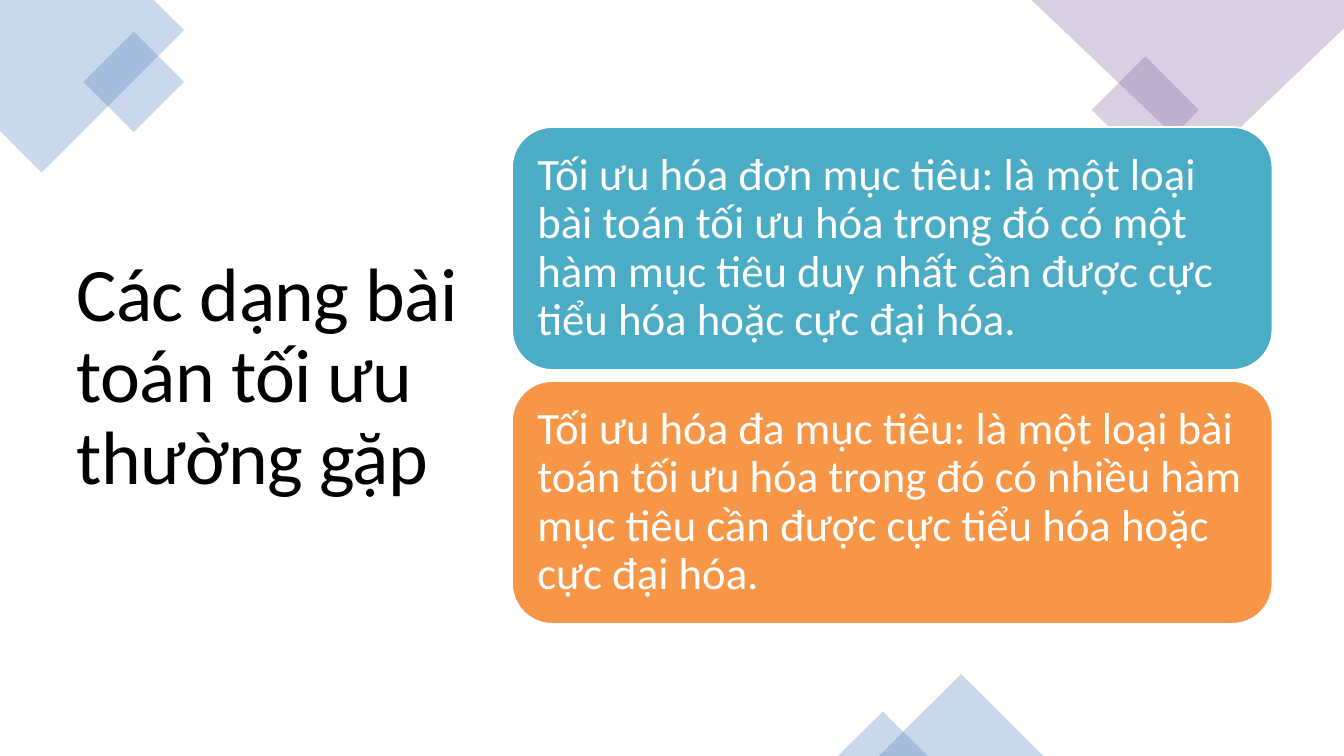
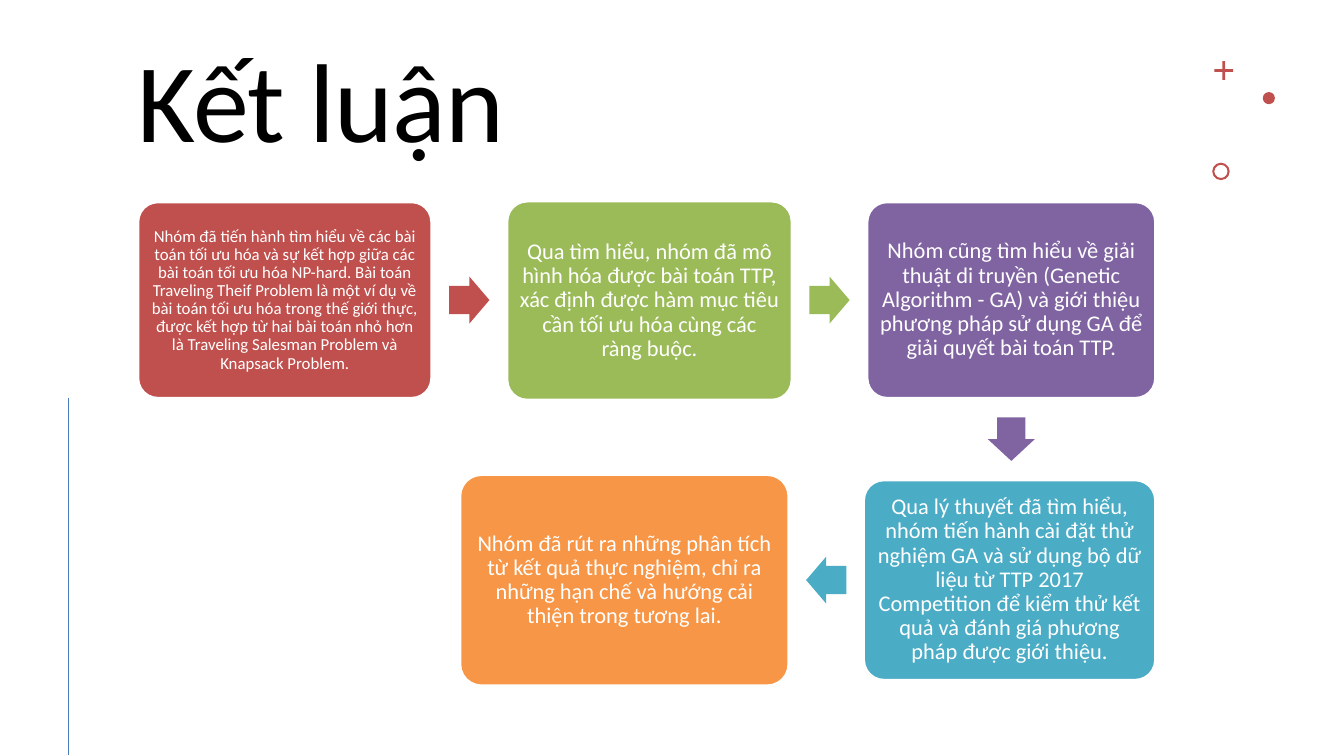
import pptx
import pptx.dml.color
import pptx.enum.shapes
import pptx.enum.text
import pptx.oxml.ns
import pptx.util
import lxml.etree

Cm = pptx.util.Cm
Pt = pptx.util.Pt
KIND = pptx.enum.shapes.MSO_SHAPE
ALIGN = pptx.enum.text.PP_ALIGN
ANCHOR = pptx.enum.text.MSO_ANCHOR

FONT = "Calibri"
BLACK, WHITE = "000000", "FFFFFF"
BLUE, RULE_BLUE, RED = "4F81BD", "4A7EBB", "C0504D"
GREEN, PURPLE, TEAL, ORANGE = "9BBB59", "8064A2", "4BACC6", "F79646"
SLIDE_SIZE = (50.8, 28.58)

PROBLEM_TITLE = ("Các dạng bài toán tối ưu thường gặp", (2.64, 2.67, 14.91, 23.27), 81, ANCHOR.MIDDLE)
PROBLEM_TYPES = [
    ("Tối ưu hóa đơn mục tiêu: là một loại bài toán tối ưu hóa trong đó có một hàm mục tiêu "
     "duy nhất cần được cực tiểu hóa hoặc cực đại hóa.", TEAL),
    ("Tối ưu hóa đa mục tiêu: là một loại bài toán tối ưu hóa trong đó có nhiều hàm mục tiêu "
     "cần được cực tiểu hóa hoặc cực đại hóa.", ORANGE),
]
TYPE_BOX = (19.35, 4.8, 28.75, 9.19)
TYPE_GAP = 0.41

CORNERS = [
    ([(0, 0), (5.82, 0), (6.96, 1.14), (1.57, 6.53), (0, 4.95)], BLUE),
    ([(38.99, 0), (50.8, 0), (50.8, 1.07), (45.47, 6.17)], PURPLE),
]
DIAMONDS = [((3.71, 1.75, 2.69, 2.69), BLUE), ((41.86, 2.72, 2.87, 2.87), PURPLE)]
PEAKS = [(33.22, 25.48, 6.22, 3.1), (31.67, 26.9, 3.4, 1.68)]

CONCLUSION_TITLE = ("Kết luận", (4.95, 1.6, 38.99, 5), 120, ANCHOR.TOP)
STEPS = [
    ("Nhóm đã tiến hành tìm hiểu về các bài toán tối ưu hóa và sự kết hợp giữa các bài toán "
     "tối ưu hóa NP-hard. Bài toán Traveling Theif Problem là một ví dụ về bài toán tối ưu hóa "
     "trong thế giới thực, được kết hợp từ hai bài toán nhỏ hơn là Traveling Salesman Problem "
     "và Knapsack Problem.", RED, (5.23, 7.65, 11.07, 7.39), 18, 0.18),
    ("Qua tìm hiểu, nhóm đã mô hình hóa được bài toán TTP, xác định được hàm mục tiêu cần "
     "tối ưu hóa cùng các ràng buộc.", GREEN, (19.18, 7.62, 10.74, 7.49), 24, 0.25),
    ("Nhóm cũng tìm hiểu về giải thuật di truyền (Genetic Algorithm - GA) và giới thiệu "
     "phương pháp sử dụng GA để giải quyết bài toán TTP.", PURPLE, (32.79, 7.65, 10.87, 7.39), 24, 0.25),
    ("Qua lý thuyết đã tìm hiểu, nhóm tiến hành cài đặt thử nghiệm GA và sử dụng bộ dữ liệu "
     "từ TTP 2017 Competition để kiểm thử kết quả và đánh giá phương pháp được giới thiệu.",
     TEAL, (32.66, 18.16, 11, 7.54), 24, 0.25),
    ("Nhóm đã rút ra những phân tích từ kết quả thực nghiệm, chỉ ra những hạn chế và hướng "
     "cải thiện trong tương lai.", ORANGE, (17.4, 17.96, 12.4, 7.95), 24, 0.25),
]
ARROWS = [(0, 1.52), (0, 1.52), (90, 1.65), (180, 1.52)]
ARROW_WIDTH = 1.78
ORNAMENTS = [
    (KIND.CROSS, (45.9, 2.31, 0.71, 0.71), [0.43]),
    (KIND.OVAL, (47.73, 3.48, 0.46, 0.46), []),
    (KIND.DONUT, (45.82, 6.15, 0.66, 0.66), [0.12]),
]
SIDE_RULE = (2.59, 15.04, 2.59, 28.55)


def rgb(color):
    return pptx.dml.color.RGBColor.from_string(color)


def lengths(numbers):
    return [Cm(number) for number in numbers]


def paint(shape, color, alpha=None, outlined=False):
    shape.shadow.inherit = False
    shape.fill.solid()
    shape.fill.fore_color.rgb = rgb(color)
    if alpha:
        tint = shape.fill._xPr.find(".//" + pptx.oxml.ns.qn("a:srgbClr"))
        lxml.etree.SubElement(tint, pptx.oxml.ns.qn("a:alpha"), val=str(alpha * 1000))
    if outlined:
        shape.line.color.rgb = rgb(WHITE)
        shape.line.width = Pt(2)
    else:
        shape.line.fill.background()


def add_preset(slide, kind, box, color, adjustments=(), **style):
    shape = slide.shapes.add_shape(kind, *lengths(box))
    for index, value in enumerate(adjustments):
        shape.adjustments[index] = value
    paint(shape, color, **style)
    return shape


def write(shape, words, size, color, align, anchor):
    frame = shape.text_frame
    frame.word_wrap = True
    frame.vertical_anchor = anchor
    frame.text = words
    paragraph = frame.paragraphs[0]
    paragraph.alignment = align
    paragraph.line_spacing = 0.9
    run = paragraph.runs[0]
    run.font.name = FONT
    run.font.size = Pt(size)
    run.font.color.rgb = rgb(color)
    return run


def add_title(slide, words, box, size, anchor):
    title = slide.shapes.add_textbox(*lengths(box))
    run = write(title, words, size, BLACK, ALIGN.LEFT, anchor)
    run.font._element.set("spc", "-60")


def add_card(slide, words, color, box, size, inset, align, adjustments=()):
    card = add_preset(slide, KIND.ROUNDED_RECTANGLE, box, color, adjustments, outlined=True)
    frame = card.text_frame
    frame.margin_left = frame.margin_right = Cm(inset)
    frame.margin_top = frame.margin_bottom = Cm(inset)
    write(card, words, size, WHITE, align, ANCHOR.MIDDLE)


def add_corner(slide, points, color):
    start, *others = [lengths(point) for point in points]
    outline = slide.shapes.build_freeform(*start)
    outline.add_line_segments(others, close=True)
    paint(outline.convert_to_shape(), color, alpha=30)


def middle(start, extent, next_start, next_extent):
    return (max(start, next_start) + min(start + extent, next_start + next_extent)) / 2


def add_arrow(slide, step, next_step, turn, length):
    left, top, width, height = step[2]
    next_left, next_top, next_width, next_height = next_step[2]
    x = middle(left, width, next_left, next_width)
    y = middle(top, height, next_top, next_height)
    box = (x - length / 2, y - ARROW_WIDTH / 2, length, ARROW_WIDTH)
    arrow = add_preset(slide, KIND.RIGHT_ARROW, box, step[1], [0.6, 0.5])
    arrow.rotation = turn


def build_problem_types(slide):
    for points, color in CORNERS:
        add_corner(slide, points, color)
    for box, color in DIAMONDS:
        add_preset(slide, KIND.RECTANGLE, box, color, alpha=30).rotation = 315
    for box in PEAKS:
        add_preset(slide, KIND.ISOSCELES_TRIANGLE, box, BLUE, alpha=30)
    add_title(slide, *PROBLEM_TITLE)
    left, top, width, height = TYPE_BOX
    for row, (words, color) in enumerate(PROBLEM_TYPES):
        box = (left, top + row * (height + TYPE_GAP), width, height)
        add_card(slide, words, color, box, 48, 0.51, ALIGN.LEFT)


def build_conclusion(slide):
    add_title(slide, *CONCLUSION_TITLE)
    for kind, box, adjustments in ORNAMENTS:
        add_preset(slide, kind, box, RED, adjustments)
    rule = slide.shapes.add_connector(pptx.enum.shapes.MSO_CONNECTOR.STRAIGHT, *lengths(SIDE_RULE))
    rule.line.color.rgb = rgb(RULE_BLUE)
    rule.line.width = Pt(2)
    lxml.etree.SubElement(rule._element.spPr, pptx.oxml.ns.qn("a:effectLst"))
    for step in STEPS:
        add_card(slide, *step, ALIGN.CENTER, [0.1])
    for step, next_step, (turn, length) in zip(STEPS, STEPS[1:], ARROWS):
        add_arrow(slide, step, next_step, turn, length)


def main():
    deck = pptx.Presentation()
    deck.slide_width, deck.slide_height = lengths(SLIDE_SIZE)
    for build in (build_problem_types, build_conclusion):
        build(deck.slides.add_slide(deck.slide_layouts[6]))
    deck.save("out.pptx")


if __name__ == "__main__":
    main()
